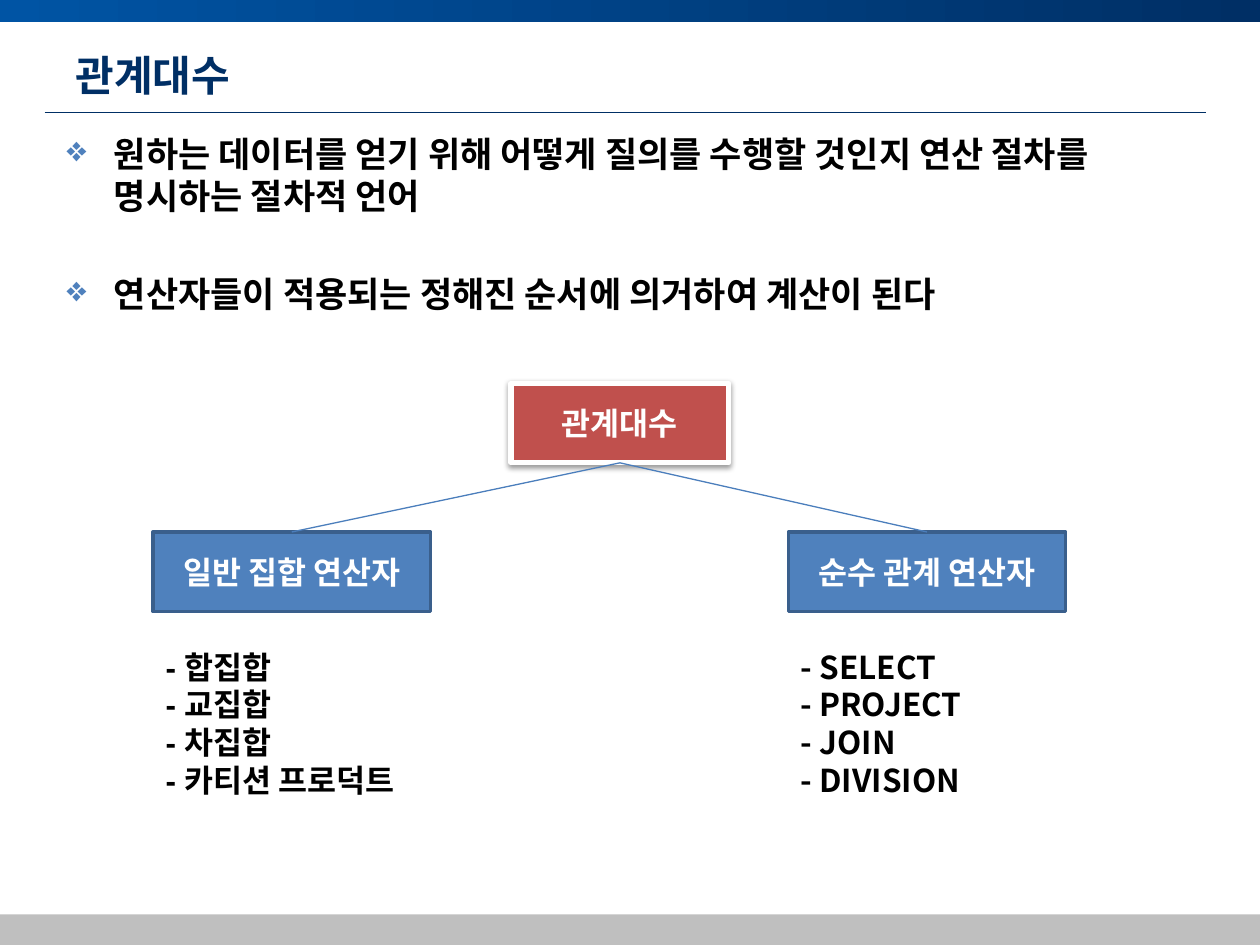
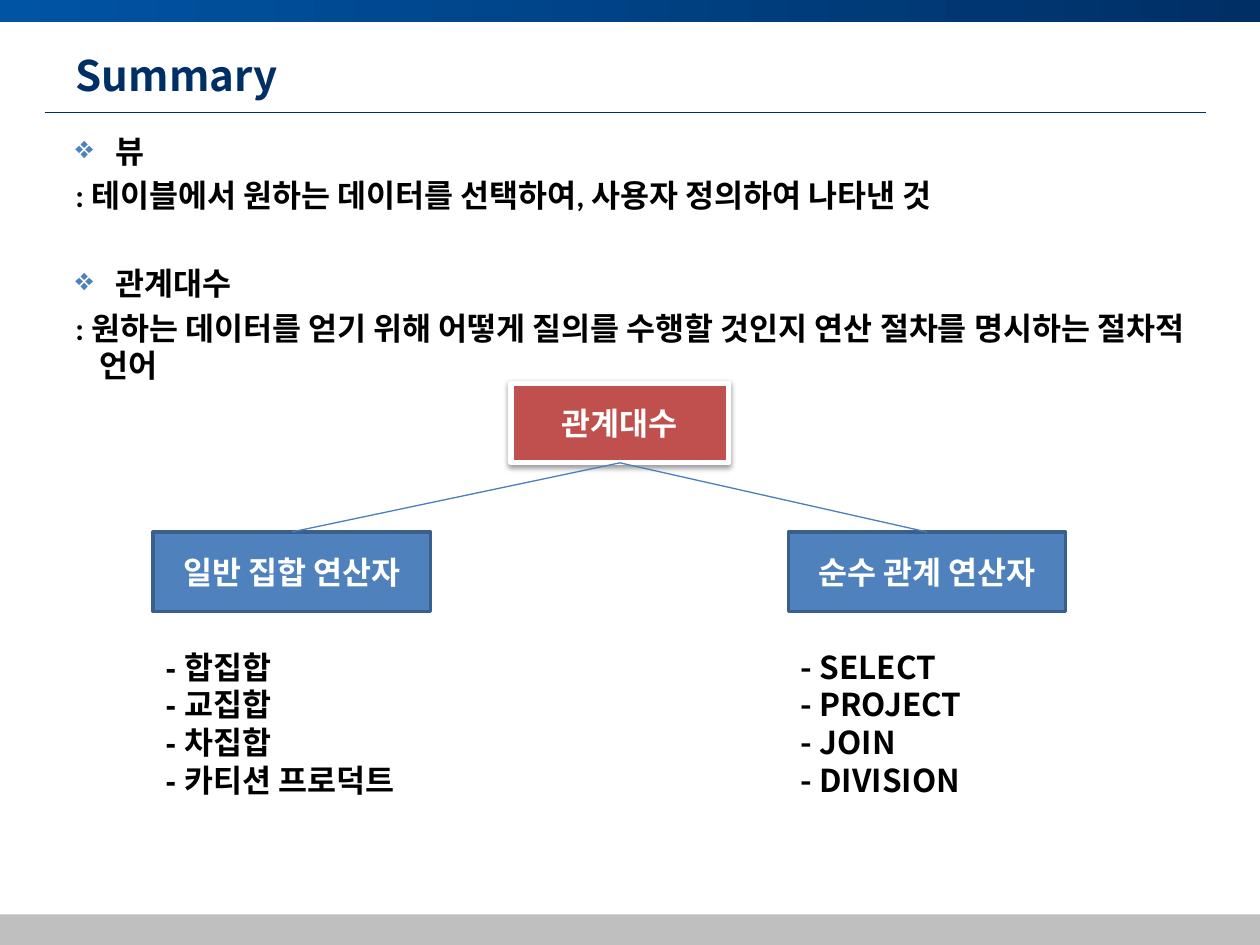
import pptx
import pptx.util
import pptx.dml.color
import pptx.enum.shapes
import pptx.enum.text
import pptx.oxml.ns
from lxml import etree

Pt = pptx.util.Pt
RECT = pptx.enum.shapes.MSO_SHAPE.RECTANGLE
STRAIGHT = pptx.enum.shapes.MSO_CONNECTOR.STRAIGHT
ALIGN = pptx.enum.text.PP_ALIGN
ANCHOR = pptx.enum.text.MSO_ANCHOR

WIDTH, HEIGHT = 720, 540
NAVY, BRIGHT, GREY = "002F65", "0054A4", "BFBFBF"
BLUE, BLUE_EDGE, BLUE_LINE, RED = "4F81BD", "3A5F8C", "4B7EBC", "C0504D"
BLACK, WHITE = "000000", "FFFFFF"
KOREAN, LATIN, LIST_FONT = "Noto Sans CJK KR", "Calibri", "Arial"


def rgb(color):
    return pptx.dml.color.RGBColor.from_string(color)


def sub(parent, tag, **attrs):
    return etree.SubElement(parent, pptx.oxml.ns.qn(tag), attrs)


def add_run(p, text, size, color=BLACK, font=KOREAN):
    r = p.add_run()
    r.text = text
    r.font.size, r.font.bold, r.font.name = Pt(size), True, font
    r.font.color.rgb = rgb(color)
    sub(r.font._element, "a:ea", typeface=KOREAN)


def add_rect(s, box, fill=None, edge=None, edge_width=0):
    sp = s.shapes.add_shape(RECT, *map(Pt, box))
    sp.shadow.inherit = False
    if fill:
        sp.fill.solid()
        sp.fill.fore_color.rgb = rgb(fill)
    if edge:
        sp.line.color.rgb = rgb(edge)
        sp.line.width = Pt(edge_width)
    else:
        sp.line.fill.background()
    return sp


def add_line(s, start, end, color, width):
    line = s.shapes.add_connector(STRAIGHT, *map(Pt, start + end))
    line.line.color.rgb = rgb(color)
    line.line.width = Pt(width)
    sub(line._element.spPr, "a:effectLst")


def add_text_box(s, box):
    sp = s.shapes.add_textbox(*map(Pt, box))
    sp.text_frame.word_wrap = True
    return sp.text_frame


def next_paragraph(tf, index, size):
    p = tf.add_paragraph() if index else tf.paragraphs[0]
    p.line_spacing = Pt(1.2 * size)
    return p


def add_frame(prs, title):
    """New slide with top band, title, rule and bottom band."""
    s = prs.slides.add_slide(prs.slide_layouts[5])
    band = add_rect(s, (0, 0, WIDTH, 12.5))
    band.fill.gradient()
    band.fill.gradient_angle = 0
    for stop, color in zip(band.fill.gradient_stops, (BRIGHT, NAVY)):
        stop.color.rgb = rgb(color)
    add_line(s, (25.5, 64), (689, 64), NAVY, 0.5)
    add_rect(s, (0, 522.5, WIDTH, HEIGHT - 522.5), GREY)

    sp = s.shapes.title
    sp.left, sp.top, sp.width, sp.height = map(Pt, (36, 21.5, 648, 42))
    sp.text_frame.vertical_anchor = ANCHOR.MIDDLE
    p = sp.text_frame.paragraphs[0]
    p.alignment = ALIGN.LEFT
    add_run(p, title, 24, NAVY)
    return s


def add_body(s, box, size, indent, paragraphs):
    """Body text; each paragraph is (bulleted, lines)."""
    tf = add_text_box(s, box)
    for i, (bulleted, lines) in enumerate(paragraphs):
        p = next_paragraph(tf, i, size)
        # A bullet after the first opens a new group, one line further down
        p.space_before = Pt(0 if i == 0 else size * (1.6 if bulleted else 0.2))
        pPr = p._p.get_or_add_pPr()
        hang = Pt(indent if bulleted else 14)
        pPr.set("marL", str(hang))
        pPr.set("indent", str(-hang))
        if bulleted:
            sub(sub(pPr, "a:buClr"), "a:srgbClr", val=BLUE)
            sub(pPr, "a:buChar", char="❖")
        for j, line in enumerate(lines):
            if j:
                p.add_line_break()
            add_run(p, line, size, font=LATIN)


def add_node(s, box, text, fill, edge, edge_width):
    sp = add_rect(s, box, fill, edge, edge_width)
    tf = sp.text_frame
    tf.vertical_anchor = ANCHOR.MIDDLE
    p = tf.paragraphs[0]
    p.alignment = ALIGN.CENTER
    add_run(p, text, 18, WHITE)
    return sp


def add_soft_shadow(sp):
    effects = sp._element.spPr.find(pptx.oxml.ns.qn("a:effectLst"))
    shadow = sub(effects, "a:outerShdw", blurRad=str(Pt(3.1)), dist=str(Pt(1.6)),
                 dir="5400000", rotWithShape="0")
    sub(sub(shadow, "a:srgbClr", val=BLACK), "a:alpha", val="38000")


def add_list(s, box, items, font):
    tf = add_text_box(s, box)
    tf.auto_size = pptx.enum.text.MSO_AUTO_SIZE.SHAPE_TO_FIT_TEXT
    for i, item in enumerate(items):
        add_run(next_paragraph(tf, i, 18), "- " + item, 18, font=font)


def add_operator_tree(s, box):
    """Root node, two branches and the operators below each branch."""
    x, y, width, height = box
    node_h, branch_w, root_w = 45.5, 158.5, 124.5
    branch_y, list_y = y + 85, y + 147.5
    root_x = x + 204.5
    root = add_node(s, (root_x, y, root_w, node_h), "관계대수", RED, WHITE, 3)
    add_soft_shadow(root)

    branches = [
        (x, "일반 집합 연산자", 176, LIST_FONT,
         ["합집합", "교집합", "차집합", "카티션 프로덕트"]),
        (x + width - branch_w, "순수 관계 연산자", 221, KOREAN,
         ["SELECT", "PROJECT", "JOIN", "DIVISION"]),
    ]
    for left, name, list_w, font, items in branches:
        add_node(s, (left, branch_y, branch_w, node_h), name, BLUE, BLUE_EDGE, 2)
        add_list(s, (left, list_y, list_w, y + height - list_y), items, font)
        add_line(s, (root_x + root_w / 2, y + node_h),
                 (left + branch_w / 2, branch_y), BLUE_LINE, 0.75)


prs = pptx.Presentation()
prs.slide_width, prs.slide_height = Pt(WIDTH), Pt(HEIGHT)
TREE_BOX = (87.5, 219, 521.5, 242)

# Relational algebra
s = add_frame(prs, "관계대수")
add_body(s, (31, 72, 653, 413), 20, 27, [
    (True, ["원하는 데이터를 얻기 위해 어떻게 질의를 수행할 것인지 연산 절차를",
            "명시하는 절차적 언어"]),
    (True, ["연산자들이 적용되는 정해진 순서에 의거하여 계산이 된다"]),
])
add_operator_tree(s, TREE_BOX)

# Summary
s = add_frame(prs, "Summary")
add_body(s, (36, 72, 648, 413), 18, 23, [
    (True, ["뷰"]),
    (False, [": 테이블에서 원하는 데이터를 선택하여, 사용자 정의하여 나타낸 것"]),
    (True, ["관계대수"]),
    (False, [": 원하는 데이터를 얻기 위해 어떻게 질의를 수행할 것인지 연산 절차를 "
             "명시하는 절차적 언어"]),
])
add_operator_tree(s, TREE_BOX)

prs.save("out.pptx")
